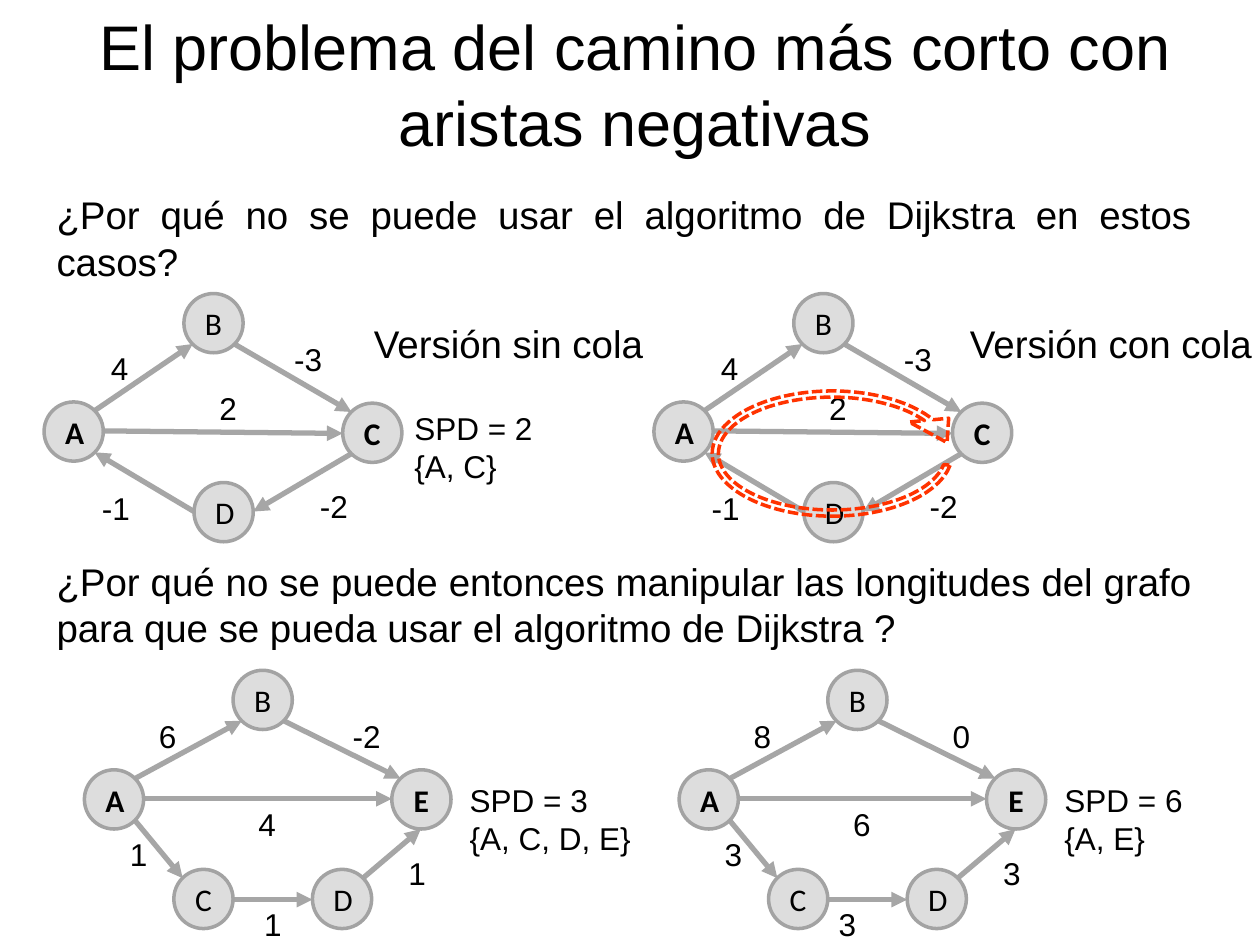
from dataclasses import dataclass
from math import cos, radians, sin

from lxml.etree import SubElement
from pptx import Presentation
from pptx.dml.color import RGBColor as Color
from pptx.enum.dml import MSO_LINE as Dash
from pptx.enum.shapes import MSO_CONNECTOR as Connector, MSO_SHAPE as Shape
from pptx.enum.text import MSO_ANCHOR as Anchor, MSO_AUTO_SIZE as AutoSize, PP_ALIGN as Align
from pptx.oxml.ns import qn
from pptx.util import Pt

PX = 9144  # EMU per px, 100 px to the inch


@dataclass(frozen=True)
class Theme:
    text: Color = Color(0x00, 0x00, 0x00)
    node_fill: Color = Color(0xDD, 0xDD, 0xDD)
    node_line: Color = Color(0xA3, 0xA3, 0xA3)
    edge: Color = Color(0xA6, 0xA6, 0xA6)
    cycle: Color = Color(0xFF, 0x33, 0x00)
    font: str = "Arial"
    node_font: str = "Calibri"
    title_size: int = 36
    body_size: int = 22
    label_size: int = 18


theme = Theme()


def write(box, text, size=theme.label_size, font=theme.font, bold=False,
          align=Align.LEFT, anchor=Anchor.TOP):
    frame = box.text_frame
    frame.word_wrap = True
    frame.auto_size = AutoSize.NONE
    frame.vertical_anchor = anchor
    for number, line in enumerate(text.split("\n")):
        para = frame.add_paragraph() if number else frame.paragraphs[0]
        para.alignment = align
        span = para.add_run()
        span.text = line
        span.font.name = font
        span.font.size = Pt(size)
        span.font.bold = bold
        span.font.color.rgb = theme.text


def add_text(left, top, width, height, text, **style):
    box = page.shapes.add_textbox(left * PX, top * PX, width * PX, height * PX)
    write(box, text, **style)


deck = Presentation()
deck.slide_width, deck.slide_height = 1000 * PX, 750 * PX
page = deck.slides.add_slide(deck.slide_layouts[5])

title = page.shapes.title
title.left, title.top, title.width, title.height = 51 * PX, 13 * PX, 906 * PX, 118 * PX
write(title, "El problema del camino más corto con aristas negativas",
      size=theme.title_size, align=Align.CENTER, anchor=Anchor.BOTTOM)

body_texts = [
    (35, 147, 921, 87, "¿Por qué no se puede usar el algoritmo de Dijkstra en estos casos?"),
    (35, 438, 921, 87, "¿Por qué no se puede entonces manipular las longitudes del grafo "
                       "para que se pueda usar el algoritmo de Dijkstra ?"),
    (287, 249, 256, 53, "Versión sin cola"),
    (760, 249, 256, 53, "Versión con cola"),
]
for *place, text in body_texts:
    add_text(*place, text, size=theme.body_size, align=Align.JUSTIFY)

for left, top, text in [(319, 320, "SPD = 2\n{A, C}"),
                        (363, 615, "SPD = 3\n{A, C, D, E}"),
                        (835, 615, "SPD = 6\n{A, E}")]:
    add_text(left, top, 154, 71, text)

# Points on a node's rim, in degrees clockwise from the right
RIM = {"right": 0, "low right": 45, "bottom": 90, "low left": 135,
       "left": 180, "high left": 225, "high right": 315}
NODE = 47

cycle_nodes = {"A": (35, 319), "B": (146, 233), "C": (272, 320), "D": (154, 383)}
cycle_edges = [
    ("A", "high right", "B", "low left"),
    ("B", "low right", "C", "high left"),
    ("A", "right", "C", "left"),
    ("C", "low left", "D", "right"),
    ("D", "left", "A", "low right"),
]
cycle_labels = [(76, 272, 38, "4"), (162, 304, 38, "2"), (217, 265, 55, "-3"),
                (240, 382, 50, "-2"), (67, 383, 50, "-1")]

path_nodes = {"A": (67, 611), "B": (185, 532), "C": (138, 690),
              "D": (248, 690), "E": (311, 611)}
path_edges = [
    ("A", "high right", "B", "low left"),
    ("B", "low right", "E", "high left"),
    ("A", "right", "E", "left"),
    ("A", "low right", "C", "high left"),
    ("C", "right", "D", "left"),
    ("D", "high right", "E", "bottom"),
]
path_places = [(114, 564, 38), (264, 564, 54), (193, 634, 38),
               (91, 658, 38), (312, 673, 38)]
original_labels = [(*place, weight) for place, weight
                   in zip(path_places, ["6", "-2", "4", "1", "1"])] + [(193, 713, 47, "1")]
raised_labels = [(*place, weight) for place, weight
                 in zip(path_places, ["8", "0", "6", "3", "3"])] + [(177, 713, 47, "3")]

graphs = [
    (0, cycle_nodes, cycle_edges, cycle_labels, "AC"),
    (484, cycle_nodes, cycle_edges, cycle_labels, "AC"),
    (0, path_nodes, path_edges, original_labels, "AE"),
    (472, path_nodes, path_edges, raised_labels, "AE"),
]
for shift, nodes, edges, labels, endpoints in graphs:
    for start, start_rim, end, end_rim in edges:
        points = []
        for name, rim in [(start, start_rim), (end, end_rim)]:
            left, top = nodes[name]
            angle = radians(RIM[rim])
            points += [round(shift + left + NODE / 2 * (1 + cos(angle))) * PX,
                       round(top + NODE / 2 * (1 + sin(angle))) * PX]
        edge = page.shapes.add_connector(Connector.STRAIGHT, *points)
        edge.line.color.rgb = theme.edge
        edge.line.width = Pt(3)
        SubElement(edge.line._get_or_add_ln(), qn("a:tailEnd"), type="triangle")
        SubElement(edge._element.spPr, qn("a:effectLst"))

    for name, (left, top) in nodes.items():
        node = page.shapes.add_shape(Shape.OVAL, (shift + left) * PX, top * PX,
                                     NODE * PX, NODE * PX)
        node.shadow.inherit = False
        node.fill.solid()
        node.fill.fore_color.rgb = theme.node_fill
        node.line.color.rgb = theme.node_line
        node.line.width = Pt(2)
        write(node, name, font=theme.node_font, bold=name in endpoints,
              align=Align.CENTER, anchor=Anchor.MIDDLE)

    for left, top, width, weight in labels:
        add_text(shift + left, top, width, 40, weight, align=Align.CENTER)

cycle = page.shapes.add_shape(Shape.CIRCULAR_ARROW, 552 * PX, 297 * PX, 217 * PX, 126 * PX)
for number, value in enumerate([0.039, 8.169, 204.57, 3.39, 0.125]):
    cycle.adjustments[number] = value
cycle.shadow.inherit = False
cycle.fill.background()
cycle.line.color.rgb = theme.cycle
cycle.line.width = Pt(2)
cycle.line.dash_style = Dash.SQUARE_DOT

deck.save("out.pptx")
